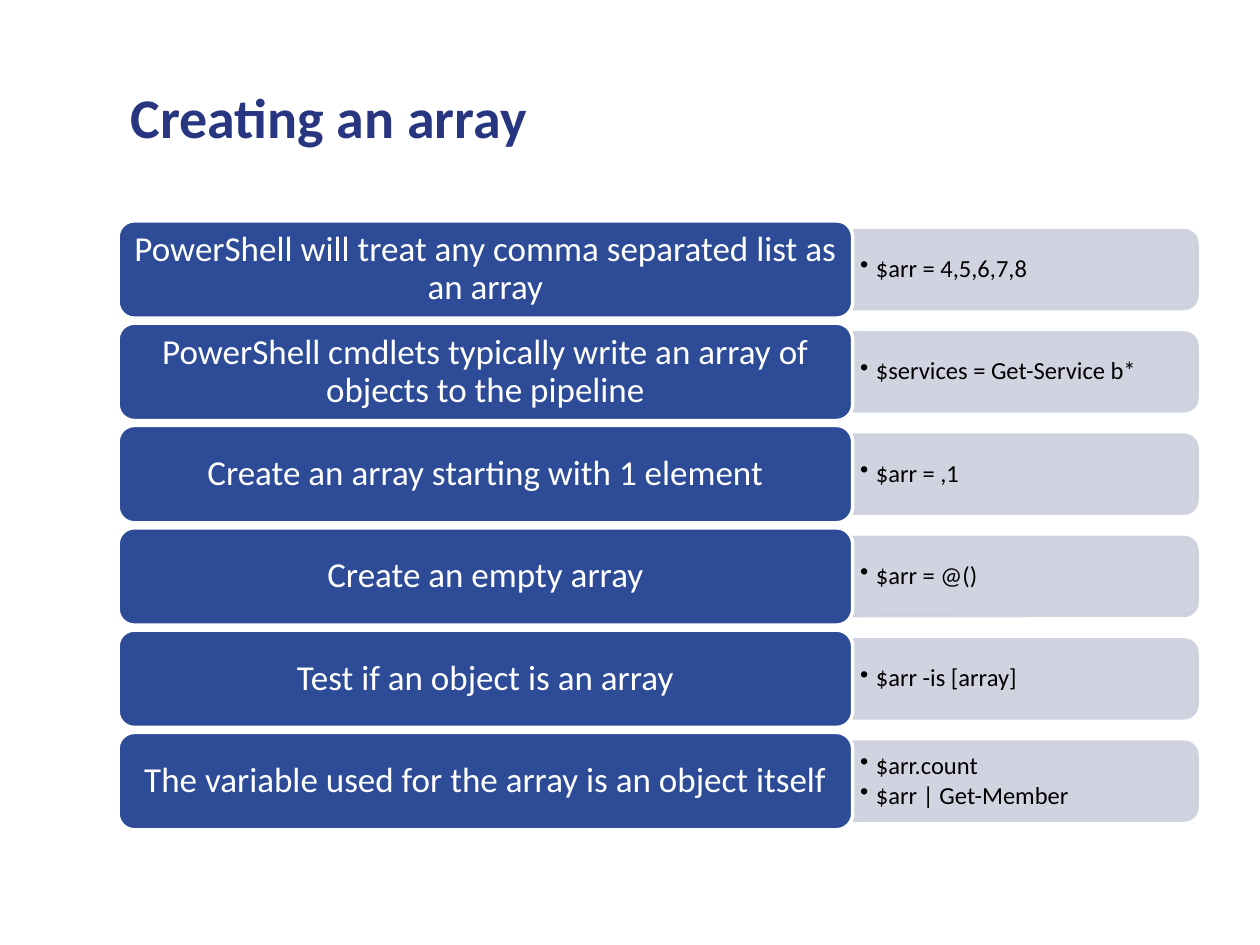
import pptx
import pptx.dml.color
import pptx.enum.shapes
import pptx.enum.text
import pptx.oxml.ns
import pptx.util
from lxml import etree

Pt = pptx.util.Pt
SHAPES = pptx.enum.shapes.MSO_SHAPE
ALIGN = pptx.enum.text.PP_ALIGN

NAVY, BLUE, PALE = "283681", "2D4B97", "CDD0DD"
WHITE, BLACK = "FFFFFF", "000000"

ROWS = [
    ("PowerShell will treat any comma separated list as an array", ["$arr = 4,5,6,7,8"]),
    ("PowerShell cmdlets typically write an array of objects to the pipeline",
     ["$services = Get-Service b*"]),
    ("Create an array starting with 1 element", ["$arr = ,1"]),
    ("Create an empty array", ["$arr = @()"]),
    ("Test if an object is an array", ["$arr -is [array]"]),
    ("The variable used for the array is an object itself",
     ["$arr.count", "$arr | Get-Member"]),
]


def rgb(value):
    return pptx.dml.color.RGBColor.from_string(value)


def add_bullet(paragraph, indent):
    properties = paragraph._p.get_or_add_pPr()
    properties.set("marL", str(Pt(indent)))
    properties.set("indent", str(-Pt(indent)))
    bullet = etree.SubElement(properties, pptx.oxml.ns.qn("a:buChar"))
    bullet.set("char", "•")


def write_text(shape, lines, size, color, bold=False, align=ALIGN.LEFT,
               insets=(7.2, 3.6), line_spacing=1.0, space_after=0, bullet_indent=0):
    frame = shape.text_frame
    frame.word_wrap = True
    frame.vertical_anchor = pptx.enum.text.MSO_ANCHOR.MIDDLE
    frame.margin_left = frame.margin_right = Pt(insets[0])
    frame.margin_top = frame.margin_bottom = Pt(insets[1])
    for index, line in enumerate(lines):
        paragraph = frame.add_paragraph() if index else frame.paragraphs[0]
        paragraph.alignment = align
        paragraph.line_spacing = line_spacing
        paragraph.space_after = Pt(space_after)
        if bullet_indent:
            add_bullet(paragraph, bullet_indent)
        run = paragraph.add_run()
        run.text = line
        run.font.name = "Calibri"
        run.font.size = Pt(size)
        run.font.bold = bold
        run.font.color.rgb = rgb(color)


def add_box(slide, kind, box, fill, line, opacity=100):
    shape = slide.shapes.add_shape(kind, *map(Pt, box))
    shape.shadow.inherit = False
    shape.fill.solid()
    shape.fill.fore_color.rgb = rgb(fill)
    shape.line.color.rgb = rgb(line)
    shape.line.width = Pt(2)
    if opacity < 100:
        for color in shape._element.spPr.iter(pptx.oxml.ns.qn("a:srgbClr")):
            alpha = etree.SubElement(color, pptx.oxml.ns.qn("a:alpha"))
            alpha.set("val", str(opacity * 1000))
    return shape


def add_title(slide, box, text):
    title = slide.shapes.add_textbox(*map(Pt, box))
    write_text(title, [text], size=32, color=NAVY, bold=True)


def add_example(slide, box, lines):
    """Draw a panel rounded on its right side only, with bulleted code."""
    left, top, width, height = box
    # A quarter turn swaps the sides around the centre of the panel.
    turned = (left + (width - height) / 2, top + (height - width) / 2, height, width)
    panel = add_box(slide, SHAPES.ROUND_2_SAME_RECTANGLE, turned, PALE, PALE, opacity=90)
    panel.rotation = 90
    margin = 2.2
    text_box = slide.shapes.add_textbox(
        Pt(left), Pt(top + margin), Pt(width - margin), Pt(height - 2 * margin))
    write_text(text_box, lines, size=14, color=BLACK, insets=(4.2, 2.1),
               line_spacing=0.9, space_after=2, bullet_indent=9)


def add_row(slide, box, statement, examples):
    left, top, width, height = box
    label_width, panel_height = 419.8, 44.6
    add_example(slide, (left + label_width, top + (height - panel_height) / 2,
                        width - label_width, panel_height), examples)
    label = add_box(slide, SHAPES.ROUNDED_RECTANGLE,
                    (left, top, label_width, height), BLUE, WHITE)
    write_text(label, [statement], size=20, color=WHITE, align=ALIGN.CENTER,
               insets=(6, 3), line_spacing=0.9)


def add_rows(slide, box, rows):
    left, top, width, height = box
    gap = 2.8
    row_height = (height - gap * (len(rows) - 1)) / len(rows)
    for index, (statement, examples) in enumerate(rows):
        row_top = top + index * (row_height + gap)
        add_row(slide, (left, row_top, width, row_height), statement, examples)


def main():
    presentation = pptx.Presentation()
    presentation.slide_width, presentation.slide_height = Pt(720), Pt(540)
    slide = presentation.slides.add_slide(presentation.slide_layouts[6])
    add_title(slide, (67.5, 21.6, 616.5, 90), "Creating an array")
    add_rows(slide, (67.5, 126.2, 616.5, 348), ROWS)
    presentation.save("out.pptx")


if __name__ == "__main__":
    main()
